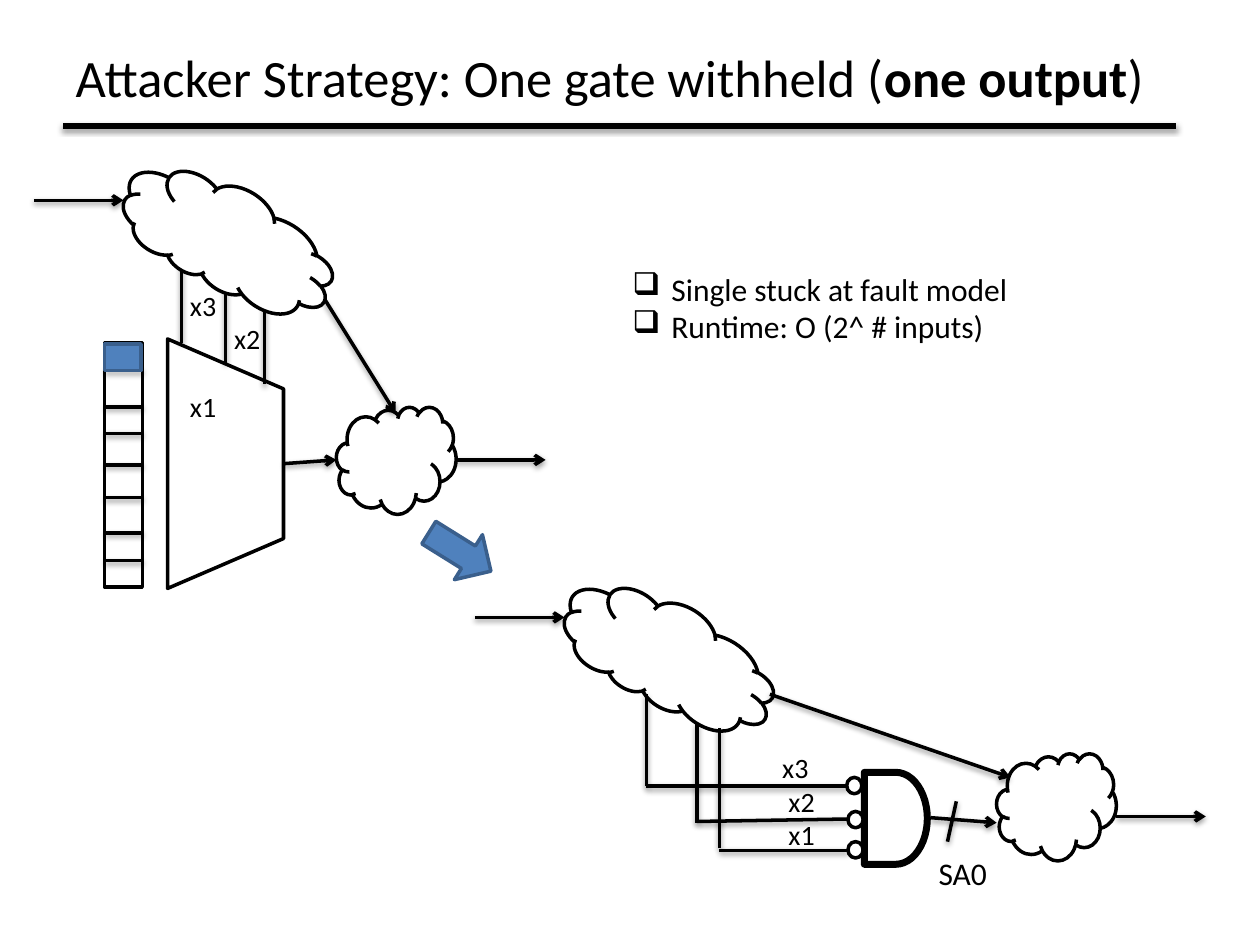
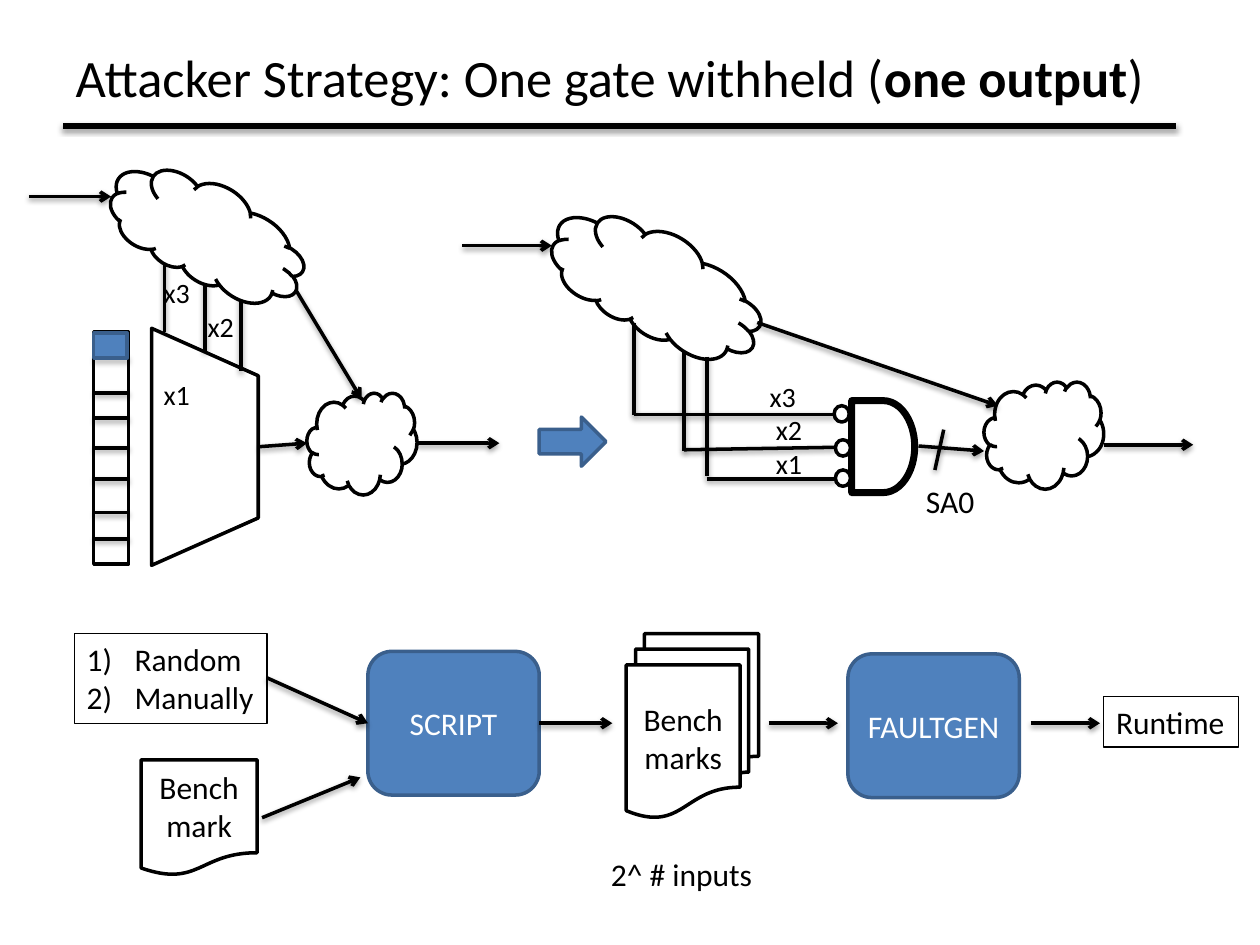
from dataclasses import dataclass
from typing import Any

from lxml.etree import SubElement
from pptx import Presentation
from pptx.dml.color import RGBColor
from pptx.enum.shapes import MSO_CONNECTOR, MSO_SHAPE
from pptx.enum.text import MSO_ANCHOR, PP_ALIGN
from pptx.oxml.ns import qn
from pptx.util import Inches, Pt


# Colours and type sizes
@dataclass(frozen=True)
class Theme:
    font: str = "Calibri"
    ink: RGBColor = RGBColor(0, 0, 0)
    paper: RGBColor = RGBColor(255, 255, 255)
    blue: RGBColor = RGBColor(0x4F, 0x81, 0xBD)
    edge: RGBColor = RGBColor(0x3A, 0x5F, 0x8C)
    title: int = 30
    body: int = 18
    label: int = 16
    thin: float = 0.75
    line: int = 2
    rule: int = 3
    heavy: int = 4


THEME = Theme()
TILT = 212.1  # turn of the large input clouds


def style(par, size, color=THEME.ink):
    for run in par.runs:
        run.font.name = THEME.font
        run.font.size = Pt(size)
        run.font.color.rgb = color


def indent(par, left, hang=0):
    props = par._p.get_or_add_pPr()
    props.set("marL", str(Inches(left)))
    props.set("indent", str(Inches(-hang)))
    return props


def fill_text(frame, lines, size):
    """Write left-aligned lines, one paragraph each."""
    frame.word_wrap = True
    frame.margin_right = 0
    frame.vertical_anchor = MSO_ANCHOR.TOP
    frame.text = "\n".join(lines)
    for par in frame.paragraphs:
        par.alignment = PP_ALIGN.LEFT
        style(par, size)
    return frame.paragraphs


def mark(pars, hang, tag, **attrs):
    """Give every paragraph a bullet or a number."""
    for par in pars:
        SubElement(indent(par, hang, hang), qn(tag), **attrs)


@dataclass
class Grid:
    """A grid of one-inch columns and rows that can be moved and scaled."""
    slide: Any
    left: float = 0
    top: float = 0
    wide: float = 1
    tall: float = 1

    def spot(self, col, row):
        return (Inches(self.left + col * self.wide),
                Inches(self.top + row * self.tall))

    def shape(self, kind, col, row, cols, rows, turn=0, fill=THEME.paper,
              edge=THEME.ink, weight=THEME.line):
        mid_x, mid_y = self.spot(col + cols / 2, row + rows / 2)
        # A quarter turn swaps the two scales
        flat, high = ((self.tall, self.wide) if turn == 270
                      else (self.wide, self.tall))
        width, height = Inches(cols * flat), Inches(rows * high)
        item = self.slide.shapes.add_shape(
            kind, mid_x - width // 2, mid_y - height // 2, width, height)
        item.rotation = turn
        item.shadow.inherit = False
        if fill is None:
            item.fill.background()
        else:
            item.fill.solid()
            item.fill.fore_color.rgb = fill
        item.line.color.rgb = edge
        item.line.width = Pt(weight)
        return item

    def blue(self, kind, *place, turn=0):
        return self.shape(kind, *place, turn=turn, fill=THEME.blue,
                          edge=THEME.edge)

    def cloud(self, *place, turn=0):
        return self.shape(MSO_SHAPE.CLOUD, *place, turn=turn)

    def line(self, x1, y1, x2, y2, weight=THEME.line):
        wire = self.slide.shapes.add_connector(
            MSO_CONNECTOR.STRAIGHT, *self.spot(x1, y1), *self.spot(x2, y2))
        wire.line.color.rgb = THEME.ink
        wire.line.width = Pt(weight)
        return wire

    def arrow(self, *ends):
        wire = self.line(*ends)
        SubElement(wire.line._get_or_add_ln(), qn("a:tailEnd"), type="arrow")

    def text(self, col, row, cols, rows, *lines, size=THEME.body):
        box = self.slide.shapes.add_textbox(
            *self.spot(col, row), Inches(cols), Inches(rows))
        return fill_text(box.text_frame, lines, size)

    def frame(self, col, row, cols, rows, *lines):
        box = self.shape(MSO_SHAPE.RECTANGLE, col, row, cols, rows,
                         fill=None, weight=THEME.thin)
        return fill_text(box.text_frame, lines, THEME.body)


def caption(item, words, color=THEME.ink):
    """Centre words in a shape."""
    frame = item.text_frame
    frame.word_wrap = True
    frame.vertical_anchor = MSO_ANCHOR.MIDDLE
    frame.text = words
    par = frame.paragraphs[0]
    par.alignment = PP_ALIGN.CENTER
    style(par, THEME.body, color)


def new_page(deck):
    """Add a slide with the shared title and rule."""
    slide = deck.slides.add_slide(deck.slide_layouts[5])
    page = Grid(slide)
    title = slide.shapes.title
    title.left, title.top = page.spot(0.5, 0.31)
    title.width, title.height = Inches(8.72), Inches(0.61)
    par = fill_text(title.text_frame, [""], THEME.title)[0]
    for words in ("Attacker Strategy: One gate withheld (", "one output", ")"):
        run = par.add_run()
        run.text = words
        run.font.bold = words == "one output"
    style(par, THEME.title)
    page.line(0.5, 1, 9.33, 1, THEME.rule)
    return page


def draw_table(grid, label_col, label_row):
    """Lookup table, selector and the logic around them."""
    grid.shape(MSO_SHAPE.FLOWCHART_MANUAL_OPERATION,
               0.8, 3.22, 1.98, 0.92, turn=270)
    for col, start, end in ((1.44, 2.09, 2.72), (1.79, 2.28, 2.88),
                            (2.1, 2.39, 3.05)):
        grid.line(col, start, col, end)

    # Memory cells, the first one filled
    grid.shape(MSO_SHAPE.RECTANGLE, 0.83, 2.72, 0.3, 1.94)
    for row in (2.94, 3.23, 3.44, 3.69, 3.95, 4.23, 4.45):
        grid.line(0.83, row, 1.14, row)
    grid.blue(MSO_SHAPE.RECTANGLE, 0.83, 2.73, 0.29, 0.21)

    # Clouds and signals
    grid.cloud(0.91, 1.49, 1.81, 0.82, turn=TILT)
    grid.cloud(2.67, 3.23, 0.95, 0.85)
    for ends in ((0.27, 1.59, 0.98, 1.59), (2.58, 2.38, 3.14, 3.28),
                 (2.25, 3.68, 2.67, 3.65), (3.62, 3.65, 4.33, 3.65)):
        grid.arrow(*ends)

    pars = Grid(grid.slide).text(label_col, label_row, 1.03, 1.1,
                                 "x3", "x2", "x1", size=THEME.label)
    indent(pars[1], 0.35)
    pars[2].space_before = Pt(19.5)


def draw_gate(grid):
    """The gate that stands in for the table, with its stuck output."""
    grid.cloud(4.41, 4.8, 1.81, 0.82, turn=TILT)
    grid.cloud(7.91, 5.98, 0.95, 0.85)

    # Input wires: down from the cloud, then across to the gate
    for col, top, low, row, end in ((5.13, 5.51, 6.24, 6.24, 6.24),
                                    (5.53, 5.74, 6.53, 6.52, 6.5),
                                    (5.71, 5.78, 6.73, 6.75, 6.75)):
        grid.line(col, top, col, low)
        grid.line(col, row, 6.73, end)

    # Gate with inverted inputs
    grid.shape(MSO_SHAPE.FLOWCHART_DELAY, 6.86, 6.13, 0.5, 0.73,
               weight=THEME.heavy)
    for col, row in ((6.72, 6.17), (6.73, 6.44), (6.73, 6.68)):
        grid.shape(MSO_SHAPE.OVAL, col, row, 0.12, 0.13)

    for ends in ((3.77, 4.9, 4.48, 4.9), (8.86, 6.48, 9.57, 6.48),
                 (6.11, 5.51, 8.02, 6.17), (7.39, 6.49, 7.91, 6.53)):
        grid.arrow(*ends)

    # Labels and the fault mark
    pars = grid.text(6.11, 5.91, 0.46, 0.91, "x3", "x2", "x1",
                     size=THEME.label)
    for par in pars[1:]:
        indent(par, 0.05)
    grid.line(7.59, 6.36, 7.52, 6.68)
    grid.text(7.35, 6.73, 0.59, 0.4, "SA0")


def draw_flow(page):
    """Test flow from the inputs to the runtime."""
    pars = page.frame(0.59, 5.03, 1.53, 0.71, "Random", "Manually")
    mark(pars, 0.38, "a:buAutoNum", type="arabicParenR")
    for kind, place, words in (
            (MSO_SHAPE.FLOWCHART_DOCUMENT, (1.12, 6.03, 0.92, 0.92),
             "Benchmark"),
            (MSO_SHAPE.FLOWCHART_MULTIDOCUMENT, (4.97, 5.03, 1.05, 1.46),
             "Benchmarks")):
        caption(page.shape(kind, *place), words)
    for col, row, words in ((2.92, 5.17, "SCRIPT"), (6.73, 5.19, "FAULTGEN")):
        tool = page.blue(MSO_SHAPE.ROUNDED_RECTANGLE, col, row, 1.36, 1.14)
        caption(tool, words, THEME.paper)
    page.frame(8.76, 5.53, 1.07, 0.4, "Runtime")
    page.text(4.75, 6.74, 1.34, 0.4, "2^ # inputs")

    page.arrow(2.12, 5.38, 2.92, 5.74)
    page.arrow(2.08, 6.49, 2.86, 6.17)
    for start, end in ((4.28, 4.86), (6.1, 6.65), (8.18, 8.73)):
        page.arrow(start, 5.74, end, 5.74)


def main():
    deck = Presentation()
    deck.slide_width, deck.slide_height = Inches(10), Inches(7.5)

    # Slide 1: from table to gate
    page = new_page(deck)
    draw_table(page, 1.41, 2.24)
    draw_gate(page)
    page.blue(MSO_SHAPE.DOWN_ARROW, 3.44, 4.09, 0.42, 0.58, turn=301.9)
    pars = page.text(4.92, 2.09, 3.22, 0.71, "Single stuck at fault model",
                     "Runtime: O (2^ # inputs)")
    mark(pars, 0.31, "a:buChar", char="❑")

    # Slide 2: the same circuits side by side, with the test flow
    page = new_page(deck)
    draw_table(Grid(page.slide, -0.02, 0.05, 0.92, 0.95), 1.2, 2.14)
    draw_gate(Grid(page.slide, -0.1, -2.95))
    page.blue(MSO_SHAPE.DOWN_ARROW, 4.35, 3.24, 0.39, 0.53, turn=270)
    draw_flow(page)

    deck.save("out.pptx")


if __name__ == "__main__":
    main()
